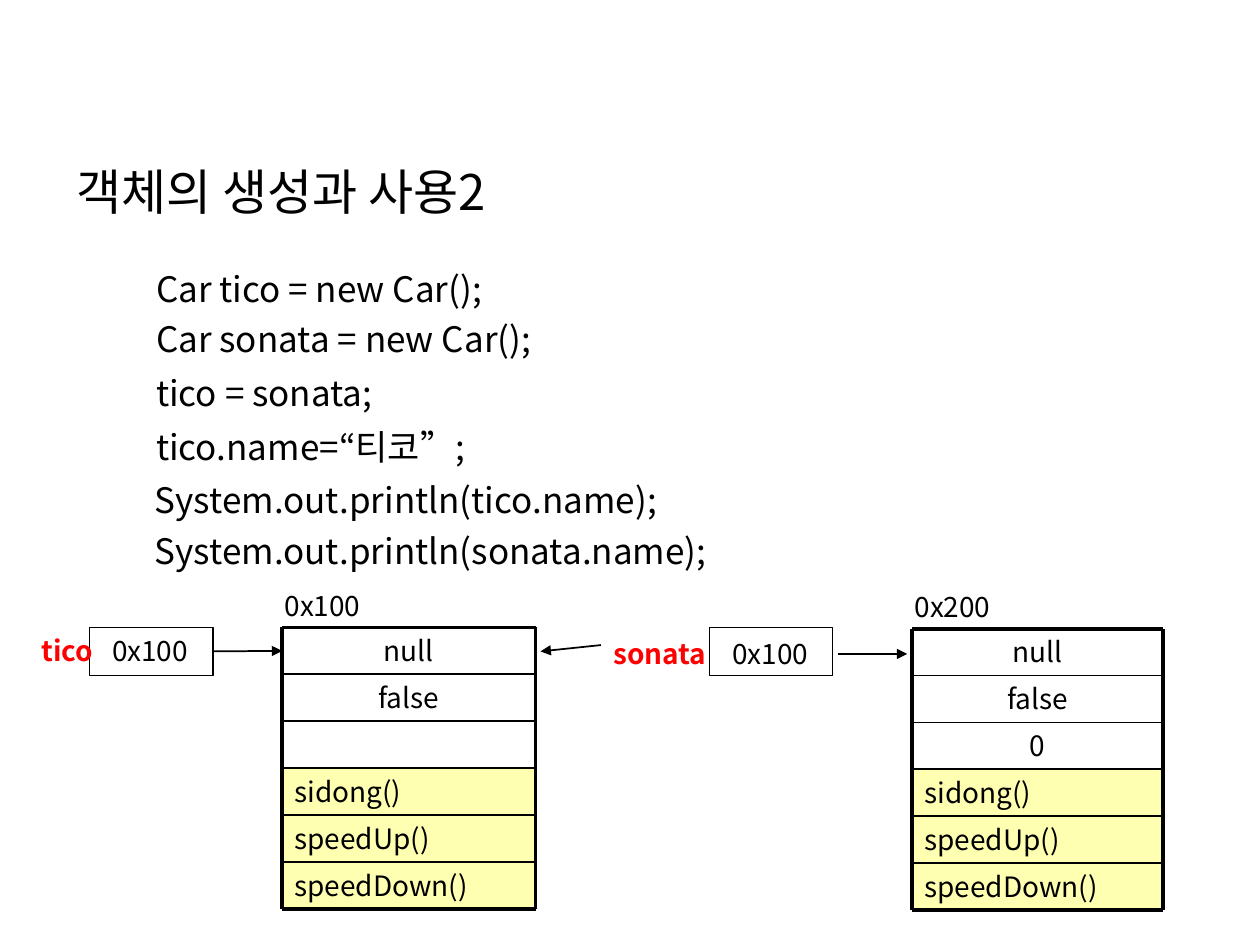
"""Build the slide showing how two Car references share one object in memory."""
from typing import NamedTuple, Optional

from lxml.etree import SubElement
from pptx import Presentation
from pptx.dml.color import RGBColor
from pptx.enum.shapes import MSO_CONNECTOR as Connector, MSO_SHAPE as Shape
from pptx.enum.text import MSO_ANCHOR as Anchor, MSO_AUTO_SIZE as AutoSize, PP_ALIGN as Align
from pptx.oxml.ns import qn
from pptx.util import Inches, Pt

BLACK = RGBColor(0x00, 0x00, 0x00)
RED = RGBColor(0xFF, 0x00, 0x00)
YELLOW = RGBColor(0xFF, 0xFF, 0x66)
FONT = "Noto Sans CJK KR"
WIDTH, HEIGHT = Inches(10), Inches(7.5)
COLUMN, ROW = WIDTH / 100, HEIGHT / 75
PITCH = 3.72
LABEL_HEIGHT = 3.7
BOX_WIDTH, BOX_HEIGHT = 9.8, 3.8


class Area(NamedTuple):
    """A rectangle in grid columns and rows."""
    left: float
    top: float
    width: float
    height: float

    def lengths(self) -> tuple:
        """Return the rectangle in slide units."""
        return (round(self.left * COLUMN), round(self.top * ROW),
                round(self.width * COLUMN), round(self.height * ROW))


class CodeLine(NamedTuple):
    """A statement and where it stands."""
    text: str
    left: float
    top: float
    width: float


class CarObject(NamedTuple):
    """An object in memory with its address, fields and methods."""
    address: str
    left: float
    top: float
    width: float
    fields: tuple


class Reference(NamedTuple):
    """A variable: its name label and the box that holds an address."""
    name: str
    name_area: Area
    value: str
    value_area: Area
    box_left: float
    box_top: float


METHODS = ("sidong()", "speedUp()", "speedDown()")
CODE = (
    CodeLine("Car tico = new Car();", 11.4, 20.7, 35.1),
    CodeLine("Car sonata = new Car();", 11.4, 24.7, 35.1),
    CodeLine("tico = sonata;", 11.4, 29, 35.1),
    CodeLine("tico.name=“티코”;", 11.4, 33.3, 35.1),
    CodeLine("System.out.println(tico.name);", 11.3, 37.5, 61.1),
    CodeLine("System.out.println(sonata.name);", 11.3, 41.5, 61.1),
)
OBJECTS = (
    CarObject("0x100", 22.4, 49.8, 20.1, ("null", "false", "")),
    CarObject("0x200", 72.4, 49.9, 19.9, ("null", "false", "0")),
)
REFERENCES = (
    Reference("tico", Area(2.3, 49.8, 11.2, LABEL_HEIGHT),
              "0x100", Area(6.5, 49.8, 10.8, LABEL_HEIGHT), 7.1, 49.8),
    Reference("sonata", Area(47.7, 50, 10.4, LABEL_HEIGHT),
              "0x100", Area(56.3, 50, 9.7, LABEL_HEIGHT), 56.3, 49.8),
)


def write(shape, text: str, size: float = 16, color: RGBColor = BLACK,
          bold: bool = False, align=Align.LEFT) -> None:
    """Put one formatted paragraph into a shape."""
    frame = shape.text_frame
    frame_format = {"word_wrap": True, "auto_size": AutoSize.NONE, "vertical_anchor": Anchor.TOP}
    for name, value in frame_format.items():
        setattr(frame, name, value)
    paragraph = frame.paragraphs[0]
    paragraph.alignment = align
    run = paragraph.add_run()
    run.text = text
    run.font.color.rgb = color
    for name, value in {"size": Pt(size), "bold": bold, "name": FONT}.items():
        setattr(run.font, name, value)
    SubElement(run.font._element, qn("a:ea")).set("typeface", FONT)


def add_label(slide, area: Area, text: str, **text_format) -> None:
    """Add a text box."""
    write(slide.shapes.add_textbox(*area.lengths()), text, **text_format)


def add_box(slide, area: Area, fill: Optional[RGBColor] = None, line: float = 0):
    """Add a rectangle with an optional half-transparent fill and an outline."""
    box = slide.shapes.add_shape(Shape.RECTANGLE, *area.lengths())
    box.shadow.inherit = False
    if fill is None:
        box.fill.background()
    else:
        box.fill.solid()
        box.fill.fore_color.rgb = fill
        color = box.fill._xPr.find(qn("a:solidFill"))[0]
        SubElement(color, qn("a:alpha")).set("val", "50000")
    if line:
        box.line.color.rgb = BLACK
        box.line.width = Pt(line)
    else:
        box.line.fill.background()
    return box


def add_line(slide, start: tuple, end: tuple, width: float = 1, arrow: bool = False):
    """Add a straight line between two grid points."""
    points = [round(value * unit) for point in (start, end)
              for value, unit in zip(point, (COLUMN, ROW))]
    line = slide.shapes.add_connector(Connector.STRAIGHT, *points)
    line.line.color.rgb = BLACK
    line.line.width = Pt(width)
    if arrow:
        SubElement(line.line._get_or_add_ln(), qn("a:tailEnd")).set("type", "triangle")
    SubElement(line._element.spPr, qn("a:effectLst"))
    return line


def add_object(slide, car: CarObject):
    """Draw an object as ruled rows and return its first row."""
    rows = []
    for index, text in enumerate(car.fields + METHODS):
        is_method = index >= len(car.fields)
        area = Area(car.left, car.top + index * PITCH, car.width, PITCH)
        row = add_box(slide, area, YELLOW if is_method else None)
        if text:
            write(row, text, align=Align.LEFT if is_method else Align.CENTER)
        rows.append(row)
    right, bottom = car.left + car.width, car.top + len(rows) * PITCH
    for index in range(len(rows) + 1):
        y = car.top + index * PITCH
        add_line(slide, (car.left, y), (right, y), 2.25 if index in (0, len(rows)) else 1)
    for x in (car.left, right):
        add_line(slide, (x, car.top), (x, bottom), 2.25)
    add_label(slide, Area(car.left - 0.8, car.top - 3.6, 10.2, LABEL_HEIGHT), car.address)
    return rows[0]


def add_reference(slide, reference: Reference):
    """Draw a variable and return its box."""
    box = add_box(slide, Area(reference.box_left, reference.box_top, BOX_WIDTH, BOX_HEIGHT),
                  line=0.75)
    add_label(slide, reference.name_area, reference.name, color=RED, bold=True)
    add_label(slide, reference.value_area, reference.value, align=Align.CENTER)
    return box


def main() -> None:
    """Build and save the slide."""
    presentation = Presentation()
    presentation.slide_width, presentation.slide_height = WIDTH, HEIGHT
    slide = presentation.slides.add_slide(presentation.slide_layouts[5])
    title = slide.shapes.title
    title_lengths = Area(5.1, 12.3, 85, 5.7).lengths()
    for name, value in zip(("left", "top", "width", "height"), title_lengths):
        setattr(title, name, value)
    write(title, "객체의 생성과 사용2", size=28)
    for code in CODE:
        add_label(slide, Area(code.left, code.top, code.width, 4.4), code.text, size=20)
    first_rows = [add_object(slide, car) for car in OBJECTS]
    boxes = [add_reference(slide, reference) for reference in REFERENCES]
    tico_arrow = add_line(slide, (16.9, 51.8), (22.4, 51.8), arrow=True)
    tico_arrow.begin_connect(boxes[0], 3)
    tico_arrow.end_connect(first_rows[0], 1)
    add_line(slide, (66.5, 51.9), (72, 51.9), arrow=True)
    add_line(slide, (47.7, 51.2), (42.9, 51.7), arrow=True)
    presentation.save("out.pptx")


if __name__ == "__main__":
    main()
